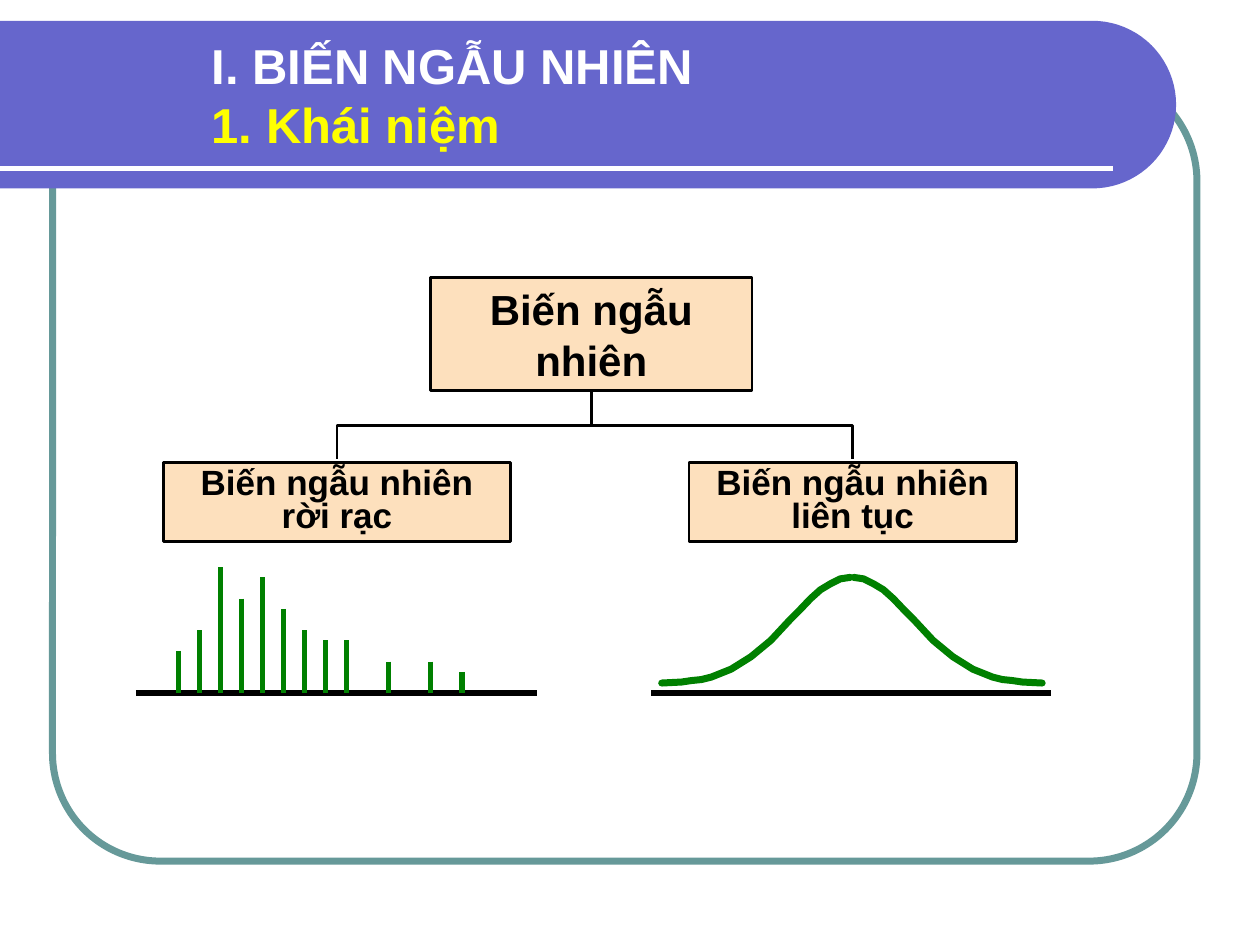
import math
from dataclasses import dataclass

from lxml import etree
from pptx import Presentation
from pptx.dml.color import RGBColor
from pptx.enum import shapes, text
from pptx.oxml import ns
from pptx.util import Cm, Pt

WHITE = RGBColor(0xFF, 0xFF, 0xFF)
BLACK = RGBColor(0x00, 0x00, 0x00)
YELLOW = RGBColor(0xFF, 0xFF, 0x00)
TEAL = RGBColor(0x66, 0x99, 0x99)
INDIGO = RGBColor(0x66, 0x66, 0xCC)
PEACH = RGBColor(0xFD, 0xE0, 0xBD)
GREEN = RGBColor(0x00, 0x80, 0x00)
GREY = RGBColor(0xCD, 0xCD, 0xCD)

FONT = "Arial"
AXIS_Y = 13.97
BAR_UNIT = 2.54 / 12
FIRST_BAR_X = 3.6
# Position and height of each bar, in bar units
BARS = [(0, 4), (2, 6), (4, 12), (6, 9), (8, 11), (10, 8),
        (12, 6), (14, 5), (16, 5), (20, 3), (24, 3), (27, 2)]

CURVE_TOP = 11.64
CURVE_STEP = 0.2
# Steps in from the tail, and drop below the peak in centimetres
HALF_BELL = [(0, 2.13), (2, 2.11), (3, 2.08), (4, 2.06), (5, 2.01), (6, 1.93),
             (7, 1.85), (9, 1.6), (11, 1.27), (13, 0.84), (14, 0.64),
             (15, 0.43), (16, 0.25), (17, 0.13), (18, 0.03), (19, 0)]


@dataclass(frozen=True)
class Box:
    """A labelled node of the tree; lengths in centimetres."""
    label: str
    left: float
    top: float
    width: float
    height: float
    size: float
    space_before: float
    line_spacing: float = 1.0

    @property
    def center_x(self) -> float:
        return self.left + self.width / 2


ROOT = Box("Biến ngẫu nhiên", 8.68, 5.59, 6.48, 2.29, 24, 15)
CHILDREN = [
    Box("Biến ngẫu nhiên rời rạc", 3.3, 9.32, 6.99, 1.6, 20, 12.5, 0.8),
    Box("Biến ngẫu nhiên liên tục", 13.89, 9.32, 6.6, 1.6, 20, 12.5, 0.8),
]


def set_line(shape, color: RGBColor, width: float) -> None:
    shape.line.color.rgb = color
    shape.line.width = Pt(width)


def add_line(slide, x1: float, y1: float, x2: float, y2: float, color: RGBColor,
             width: float, kind=shapes.MSO_CONNECTOR.STRAIGHT):
    line = slide.shapes.add_connector(kind, Cm(x1), Cm(y1), Cm(x2), Cm(y2))
    set_line(line, color, width)
    etree.SubElement(line._element.spPr, ns.qn("a:effectLst"))
    return line


def add_path(slide, points: list[tuple[float, float]], closed: bool):
    scaled = [(Cm(x), Cm(y)) for x, y in points]
    builder = slide.shapes.build_freeform(*scaled[0])
    builder.add_line_segments(scaled[1:], close=closed)
    shape = builder.convert_to_shape()
    shape.shadow.inherit = False
    return shape


def add_run(paragraph, content: str, size: float, color: RGBColor) -> None:
    run = paragraph.add_run()
    run.text = content
    run.font.name = FONT
    run.font.size = Pt(size)
    run.font.bold = True
    run.font.color.rgb = color


def add_backdrop(slide) -> None:
    frame = slide.shapes.add_shape(shapes.MSO_SHAPE.ROUNDED_RECTANGLE,
                                   Cm(1.06), Cm(1.48), Cm(23.07), Cm(15.88))
    frame.adjustments[0] = 0.137
    frame.shadow.inherit = False
    frame.fill.background()
    set_line(frame, TEAL, 4)

    top, right, radius, steps = 0.42, 23.71, 1.69, 40
    angles = [math.pi * (step / steps - 0.5) for step in range(steps + 1)]
    arc = [(right - radius + radius * math.cos(angle),
            top + radius + radius * math.sin(angle)) for angle in angles]
    banner = add_path(slide, [(0, top), *arc, (0, top + 2 * radius)], True)
    banner.fill.solid()
    banner.fill.fore_color.rgb = INDIGO
    banner.line.fill.background()
    add_line(slide, 0, 3.39, 22.44, 3.39, WHITE, 3)


def add_title(slide) -> None:
    title = slide.shapes.add_textbox(Cm(4.02), Cm(0.64), Cm(19.2), Cm(2.54))
    frame = title.text_frame
    frame.word_wrap = True
    frame.vertical_anchor = text.MSO_ANCHOR.MIDDLE
    paragraph = frame.paragraphs[0]
    add_run(paragraph, "I. BIẾN NGẪU NHIÊN", 28, WHITE)
    paragraph.add_line_break()
    add_run(paragraph, "1. Khái niệm", 28, YELLOW)


def add_box(slide, box: Box) -> None:
    shape = slide.shapes.add_shape(shapes.MSO_SHAPE.RECTANGLE, Cm(box.left),
                                   Cm(box.top), Cm(box.width), Cm(box.height))
    shape.shadow.inherit = False
    shape.fill.solid()
    shape.fill.fore_color.rgb = PEACH
    set_line(shape, BLACK, 1.5)
    frame = shape.text_frame
    frame.word_wrap = True
    frame.auto_size = text.MSO_AUTO_SIZE.SHAPE_TO_FIT_TEXT
    frame.vertical_anchor = text.MSO_ANCHOR.MIDDLE
    paragraph = frame.paragraphs[0]
    paragraph.alignment = text.PP_ALIGN.CENTER
    paragraph.space_before = Pt(box.space_before)
    paragraph.line_spacing = box.line_spacing
    add_run(paragraph, box.label, box.size, BLACK)


def add_branch(slide, parent: Box, child: Box) -> None:
    """Elbow that leaves the parent downwards: a sideways elbow, turned a quarter."""
    start_y, end_y = 7.9, 9.25
    center_x = (parent.center_x + child.center_x) / 2
    center_y = (start_y + end_y) / 2
    half_span = abs(child.center_x - parent.center_x) / 2
    to_right = child.center_x > parent.center_x
    half_drop = (end_y - start_y) / 2 * (1 if to_right else -1)
    branch = add_line(slide, center_x + half_drop, center_y - half_span,
                      center_x - half_drop, center_y + half_span,
                      BLACK, 1.5, shapes.MSO_CONNECTOR.ELBOW)
    degrees = 270 if to_right else 90
    branch._element.spPr.find(ns.qn("a:xfrm")).set("rot", str(degrees * 60000))


def add_half_bell(slide, tail_x: float, direction: int) -> None:
    points = [(tail_x + direction * step * CURVE_STEP, CURVE_TOP + drop)
              for step, drop in HALF_BELL]
    curve = add_path(slide, points, False)
    curve.fill.background()
    set_line(curve, GREEN, 4)
    outline = curve._element.spPr.find(ns.qn("a:ln"))
    outline.set("cap", "rnd")
    etree.SubElement(outline, ns.qn("a:round"))


def main() -> None:
    presentation = Presentation()
    presentation.slide_width, presentation.slide_height = Cm(25.4), Cm(19.05)
    slide = presentation.slides.add_slide(presentation.slide_layouts[6])

    add_backdrop(slide)
    for box in [ROOT, *CHILDREN]:
        add_box(slide, box)
    for child in CHILDREN:
        add_branch(slide, ROOT, child)
    add_line(slide, 9.9, 8.71, 9.9, 8.71, GREY, 2)

    add_line(slide, 13.13, AXIS_Y, 21.18, AXIS_Y, BLACK, 3)
    add_half_bell(slide, 21.01, -1)
    add_half_bell(slide, 13.34, 1)

    add_line(slide, 2.74, AXIS_Y, 10.82, AXIS_Y, BLACK, 3)
    for position, height in BARS:
        x = FIRST_BAR_X + position * BAR_UNIT
        add_line(slide, x, AXIS_Y - height * BAR_UNIT, x, AXIS_Y, GREEN, 3)

    add_title(slide)
    presentation.save("out.pptx")


if __name__ == "__main__":
    main()
